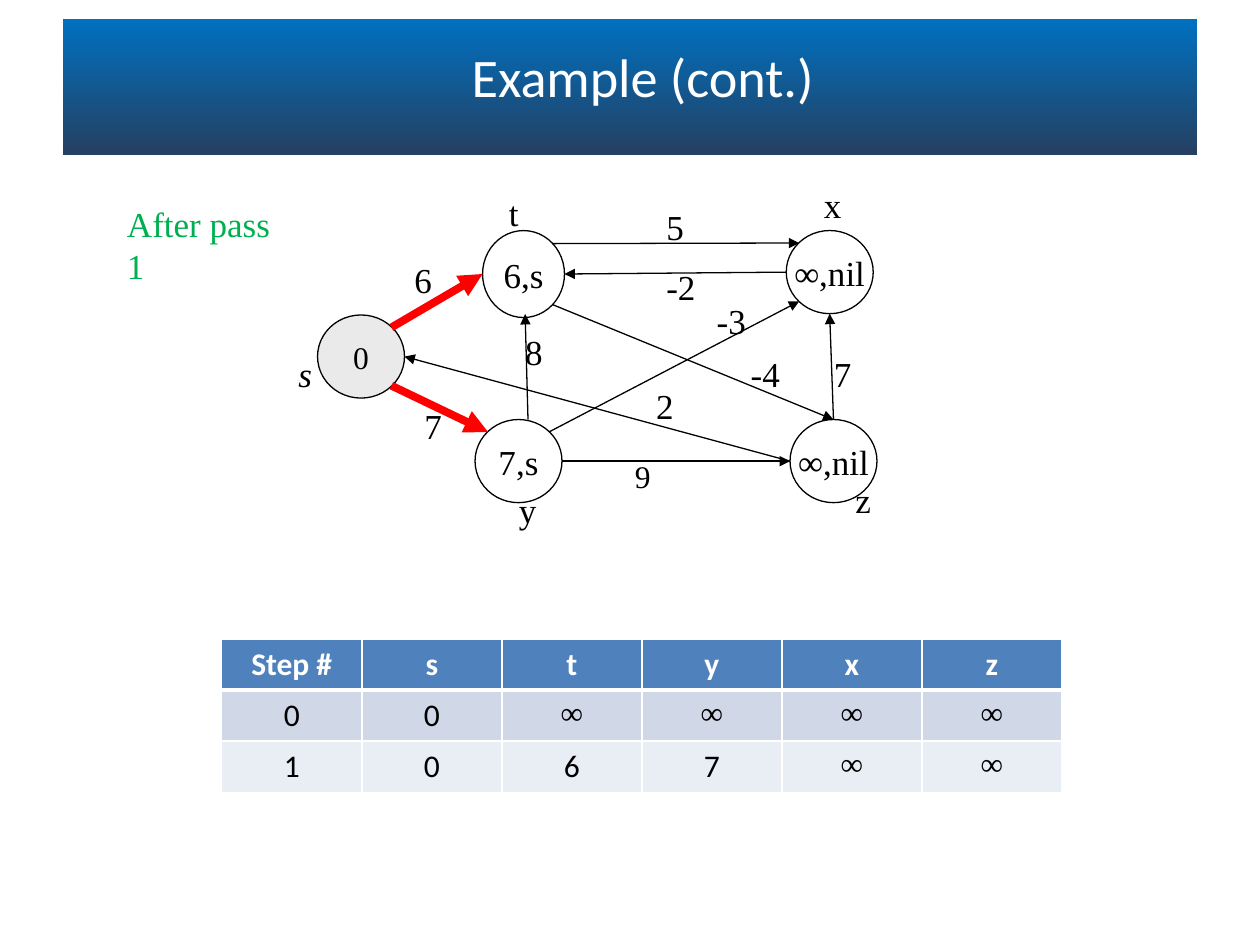
import pptx
import pptx.dml.color
import pptx.enum.shapes
import pptx.enum.text
import pptx.oxml
import pptx.oxml.ns
import pptx.util
from pptx.util import Inches

RGBColor = pptx.dml.color.RGBColor
WHITE = RGBColor(0xFF, 0xFF, 0xFF)
BLACK = RGBColor(0, 0, 0)
RED = RGBColor(0xFF, 0, 0)
GREEN = RGBColor(0, 0xB0, 0x50)
SOURCE_GRAY = RGBColor(0xEA, 0xEA, 0xEA)
BAND_COLORS = (RGBColor(0, 0x70, 0xC0), RGBColor(0x25, 0x40, 0x61))
ROW_COLORS = (RGBColor(0x4F, 0x81, 0xBD), RGBColor(0xD0, 0xD8, 0xE8), RGBColor(0xE9, 0xED, 0xF4))
SERIF = "Times New Roman"
SANS = "Calibri"

NORTH, SOUTH, WEST, EAST = (0.5, 0), (0.5, 1), (0, 0.5), (1, 0.5)
NORTHWEST, NORTHEAST = (0.15, 0.15), (0.85, 0.15)
SOUTHWEST, SOUTHEAST = (0.15, 0.85), (0.85, 0.85)

NODES = {
    "t": ("6,s", 1.58, 0.43, 0.65, 0.69),
    "y": ("7,s", 1.52, 1.93, 0.69, 0.66),
    "x": ("∞,nil", 3.99, 0.43, 0.69, 0.66),
    "s": ("0", 0.27, 1.1, 0.69, 0.66),
    "z": ("∞,nil", 4.02, 1.93, 0.69, 0.66),
}
EDGES = [
    ("t", NORTHEAST, "x", NORTHWEST),
    ("x", WEST, "t", EAST),
    ("y", EAST, "z", WEST),
    ("y", NORTHEAST, "x", SOUTHWEST),
    ("z", NORTH, "x", SOUTH),
    ("t", SOUTHEAST, "z", NORTH),
    ("z", WEST, "s", EAST),
    ("y", (0.61, 0), "t", (0.52, 0.96)),
]
TREE_EDGES = [("s", NORTHEAST, "t", WEST), ("s", SOUTHEAST, "y", NORTHWEST)]
LABELS = [
    ("6", 0.94, 0.6, 0.34), ("7", 1.02, 1.76, 0.34), ("5", 2.94, 0.18, 0.34),
    ("-3", 3.34, 0.93, 0.43), ("8", 1.82, 1.17, 0.34), ("7", 4.27, 1.35, 0.34),
    ("-4", 3.61, 1.35, 0.43), ("2", 2.86, 1.6, 0.33), ("-2", 2.94, 0.66, 0.43),
    ("y", 1.77, 2.43, 0.34), ("z", 4.44, 2.35, 0.32), ("x", 4.19, 0.01, 0.31),
    ("t", 1.69, 0.07, 0.28),
]
TABLE_ROWS = [
    ("Step #", "s", "t", "y", "x", "z"),
    ("0", "0", "∞", "∞", "∞", "∞"),
    ("1", "0", "6", "7", "∞", "∞"),
]


def write_text(text_frame, text, size=20, name=SERIF, color=BLACK, bold=False, italic=False, centered=False):
    """Put one formatted paragraph into a text frame."""
    paragraph = text_frame.paragraphs[0]
    if centered:
        paragraph.alignment = pptx.enum.text.PP_ALIGN.CENTER
    run = paragraph.add_run()
    run.text = text
    run.font.size = pptx.util.Pt(size)
    run.font.name = name
    run.font.color.rgb = color
    run.font.bold = bold
    run.font.italic = italic


def add_label(slide, text, left, top, width, height=Inches(0.43), **text_format):
    """Add a text box that fits its single line."""
    text_frame = slide.shapes.add_textbox(left, top, width, height).text_frame
    text_frame.word_wrap = False
    text_frame.auto_size = pptx.enum.text.MSO_AUTO_SIZE.SHAPE_TO_FIT_TEXT
    write_text(text_frame, text, **text_format)


def add_title(slide, left, top, width, height):
    """Place the gradient band and the title over it."""
    band = slide.shapes.add_shape(pptx.enum.shapes.MSO_SHAPE.RECTANGLE, left, top, width, height)
    band.shadow.inherit = False
    band.line.fill.background()
    band.fill.gradient()
    band.fill.gradient_angle = 270
    for stop, color in zip(band.fill.gradient_stops, BAND_COLORS):
        stop.color.rgb = color
    title = slide.shapes.title
    title._element.addprevious(band._element)
    title.left, title.top = left + Inches(0.1), top + Inches(0.1)
    title.width, title.height = width, Inches(0.7)
    title.text_frame.vertical_anchor = pptx.enum.text.MSO_ANCHOR.MIDDLE
    title.text_frame.auto_size = pptx.enum.text.MSO_AUTO_SIZE.NONE
    write_text(title.text_frame, "Example (cont.)", size=31, name=SANS, color=WHITE, centered=True)


def add_node(slide, text, left, top, width, height, fill=WHITE, size=20):
    """Add a circled vertex and return it."""
    node = slide.shapes.add_shape(pptx.enum.shapes.MSO_SHAPE.OVAL, left, top, width, height)
    node.shadow.inherit = False
    node.fill.solid()
    node.fill.fore_color.rgb = fill
    node.line.color.rgb = BLACK
    node.line.width = pptx.util.Pt(0.75)
    node.text_frame.word_wrap = False
    node.text_frame.vertical_anchor = pptx.enum.text.MSO_ANCHOR.MIDDLE
    write_text(node.text_frame, text, size=size, centered=True)
    return node


def node_point(node, fraction):
    """Return the point at a fraction of a vertex's width and height."""
    return int(node.left + node.width * fraction[0]), int(node.top + node.height * fraction[1])


def add_edge(slide, start, end, color=BLACK, width=0.75):
    """Draw an arrow between two points."""
    edge = slide.shapes.add_connector(pptx.enum.shapes.MSO_CONNECTOR.STRAIGHT, *start, *end)
    edge.line.color.rgb = color
    edge.line.width = pptx.util.Pt(width)
    arrowhead = pptx.oxml.parse_xml(f'<a:tailEnd {pptx.oxml.ns.nsdecls("a")} type="triangle"/>')
    edge.line._get_or_add_ln().append(arrowhead)
    edge._element.spPr.append(pptx.oxml.parse_xml(f'<a:effectLst {pptx.oxml.ns.nsdecls("a")}/>'))


def add_graph(slide, left, top):
    """Draw the weighted graph from the top left corner of its box."""
    nodes = {}
    for name, (text, x, y, width, height) in NODES.items():
        source_format = {"fill": SOURCE_GRAY, "size": 18} if name == "s" else {}
        nodes[name] = add_node(slide, text, left + Inches(x), top + Inches(y),
                               Inches(width), Inches(height), **source_format)
    for edges, edge_format in ((EDGES, {}), (TREE_EDGES, {"color": RED, "width": 4.5})):
        for start, start_side, end, end_side in edges:
            add_edge(slide, node_point(nodes[start], start_side),
                     node_point(nodes[end], end_side), **edge_format)
    for text, x, y, width in LABELS:
        add_label(slide, text, left + Inches(x), top + Inches(y), Inches(width))
    add_label(slide, "9", left + Inches(2.69), top + Inches(2.18), Inches(0.33), Inches(0.4), size=18)
    add_label(slide, "s", left + Inches(0.02), top + Inches(1.35), Inches(0.31), italic=True)


def set_borders(cell, top_width, bottom_width):
    """Give a table cell white borders."""
    for side, points in (("L", 1), ("R", 1), ("T", top_width), ("B", bottom_width)):
        cell._tc.get_or_add_tcPr().append(pptx.oxml.parse_xml(
            f'<a:ln{side} {pptx.oxml.ns.nsdecls("a")} w="{pptx.util.Pt(points)}">'
            f'<a:solidFill><a:srgbClr val="{WHITE}"/></a:solidFill></a:ln{side}>'))


def add_distance_table(slide, left, top, width, height):
    """Add the table of distances after each step."""
    table = slide.shapes.add_table(len(TABLE_ROWS), len(TABLE_ROWS[0]), left, top, width, height).table
    for row, texts in enumerate(TABLE_ROWS):
        is_header = row == 0
        for column, text in enumerate(texts):
            cell = table.cell(row, column)
            set_borders(cell, 3 if row == 1 else 1, 3 if is_header else 1)
            cell.fill.solid()
            cell.fill.fore_color.rgb = ROW_COLORS[row]
            write_text(cell.text_frame, text, size=18, name=SERIF if text == "∞" else SANS,
                       color=WHITE if is_header else BLACK, bold=is_header, centered=True)


def main():
    """Build the slide and save the presentation."""
    presentation = pptx.Presentation()
    presentation.slide_width, presentation.slide_height = Inches(10), Inches(7.5)
    slide = presentation.slides.add_slide(presentation.slide_layouts[5])
    add_title(slide, Inches(0.5), Inches(0.15), Inches(9), Inches(1.08))
    add_distance_table(slide, Inches(1.76), Inches(5.07), Inches(6.67), Inches(1.22))
    add_graph(slide, Inches(2.25), Inches(1.4))
    add_label(slide, "After pass 1", Inches(0.91), Inches(1.56), Inches(1.54), color=GREEN)
    presentation.save("out.pptx")


if __name__ == "__main__":
    main()
